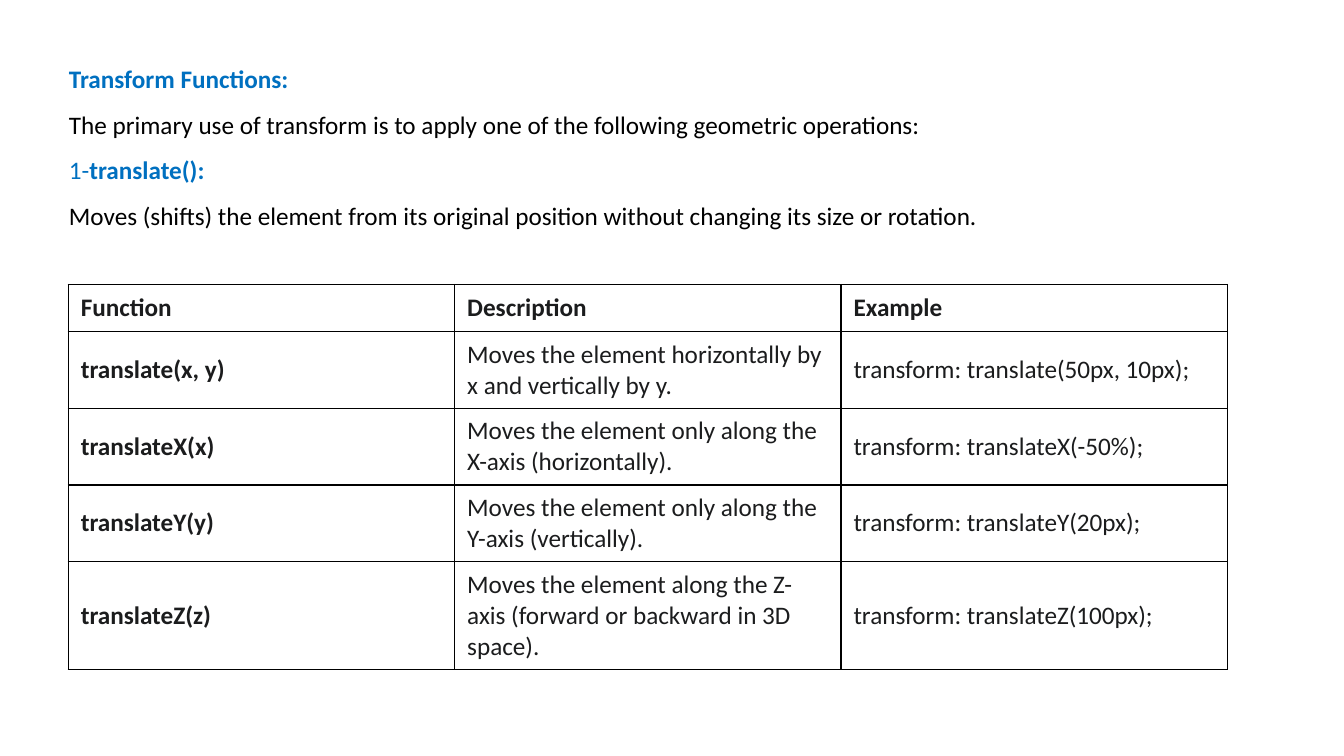
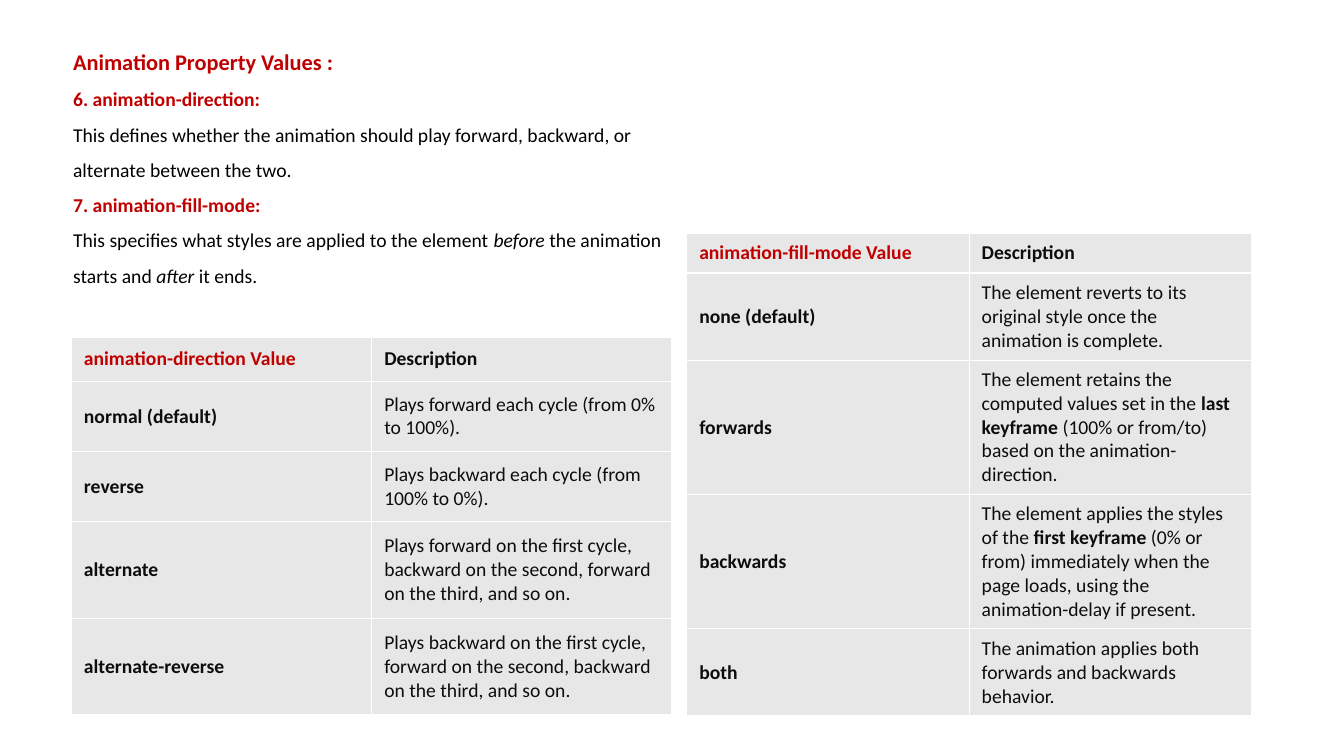
import dataclasses

import lxml.etree
import pptx
import pptx.dml.color
import pptx.enum.text
import pptx.oxml.ns
import pptx.util

PX = 9525
FONT = "Calibri"
HEX = {
    "blue": "0070C0",
    "red": "C00000",
    "black": "000000",
    "ink": "1B1C1D",
    "dark": "0D0D0D",
    "gray": "E7E7E7",
    "white": "FFFFFF",
}


@dataclasses.dataclass
class Line:
    """One paragraph; parts between asterisks take the style named by mark."""
    text: str
    color: str = "black"
    bold: bool = False
    mark: str = "bold"


@dataclasses.dataclass
class Box:
    left: int
    top: int
    width: int
    height: int


@dataclasses.dataclass
class Grid:
    left: int
    top: int
    col: int
    rows: list[int]
    cells: list[tuple[str, ...]]
    size: int
    ink: str
    key: str
    edge: str
    fill: str | None = None


@dataclasses.dataclass
class Page:
    title: str
    color: str
    size: int
    head: Box
    body: Box
    lines: list[Line]
    point: int
    grids: list[Grid]


PAGES = [
    Page(
        "Transform Functions:", "blue", 18,
        Box(56, 41, 1114, 44), Box(56, 85, 1114, 150),
        [
            Line("The primary use of transform is to apply one of the "
                 "following geometric operations:"),
            Line("1-*translate():*", "blue"),
            Line("Moves (shifts) the element from its original position "
                 "without changing its size or rotation."),
        ],
        18,
        [Grid(
            65, 271, 368, [45, 73, 73, 73, 103],
            [
                ("Function", "Description", "Example"),
                ("translate(x, y)",
                 "Moves the element horizontally by x and vertically by y.",
                 "transform: translate(50px, 10px);"),
                ("translateX(x)",
                 "Moves the element only along the X-axis (horizontally).",
                 "transform: translateX(-50%);"),
                ("translateY(y)",
                 "Moves the element only along the Y-axis (vertically).",
                 "transform: translateY(20px);"),
                ("translateZ(z)",
                 "Moves the element along the Z-axis (forward or backward "
                 "in 3D space).",
                 "transform: translateZ(100px);"),
            ],
            18, "ink", "ink", "black",
        )],
    ),
    Page(
        "Animation Property Values :", "red", 16,
        Box(60, 28, 615, 39), Box(60, 67, 615, 220),
        [
            Line("6. animation-direction:", "red", True),
            Line("This defines whether the animation should play forward, "
                 "backward, or alternate between the two."),
            Line("7. animation-fill-mode:", "red", True),
            Line("This specifies what styles are applied to the element "
                 "*before* the animation starts and *after* it ends.",
                 mark="italic"),
        ],
        14,
        [
            Grid(
                68, 321, 286, [42, 67, 67, 92, 92],
                [
                    ("animation-direction Value", "Description"),
                    ("normal (default)",
                     "Plays forward each cycle (from 0% to 100%)."),
                    ("reverse",
                     "Plays backward each cycle (from 100% to 0%)."),
                    ("alternate",
                     "Plays forward on the first cycle, backward on the "
                     "second, forward on the third, and so on."),
                    ("alternate-reverse",
                     "Plays backward on the first cycle, forward on the "
                     "second, backward on the third, and so on."),
                ],
                14, "dark", "red", "white", "gray",
            ),
            Grid(
                654, 222, 269, [38, 83, 128, 128, 83],
                [
                    ("animation-fill-mode Value", "Description"),
                    ("none (default)",
                     "The element reverts to its original style once the "
                     "animation is complete."),
                    ("forwards",
                     "The element retains the computed values set in the "
                     "*last keyframe* (100% or from/to) based on the "
                     "animation-direction."),
                    ("backwards",
                     "The element applies the styles of the *first keyframe* "
                     "(0% or from) immediately when the page loads, using "
                     "the animation-delay if present."),
                    ("both",
                     "The animation applies both forwards and backwards "
                     "behavior."),
                ],
                14, "dark", "red", "white", "gray",
            ),
        ],
    ),
]


def px(num: int) -> pptx.util.Emu:
    return pptx.util.Emu(num * PX)


def rgb(name: str) -> pptx.dml.color.RGBColor:
    return pptx.dml.color.RGBColor.from_string(HEX[name])


def write(para, line: Line, size: int) -> None:
    para.alignment = pptx.enum.text.PP_ALIGN.LEFT
    font = para.font
    font.name, font.size, font.bold = FONT, pptx.util.Pt(size), line.bold
    font.color.rgb = rgb(line.color)
    for num, part in enumerate(line.text.split("*")):
        if part:
            run = para.add_run()
            run.text = part
            if num % 2:
                setattr(run.font, line.mark, True)


def fill_box(shape, box: Box, lines: list[Line], size: int) -> None:
    """Place a placeholder and fill it with unbulleted, 1.5-spaced lines."""
    shape.left, shape.top = px(box.left), px(box.top)
    shape.width, shape.height = px(box.width), px(box.height)
    frame = shape.text_frame
    frame.word_wrap = True
    frame.auto_size = pptx.enum.text.MSO_AUTO_SIZE.NONE
    frame.vertical_anchor = pptx.enum.text.MSO_ANCHOR.TOP
    for num, line in enumerate(lines):
        para = frame.add_paragraph() if num else frame.paragraphs[0]
        para.line_spacing = 1.5
        para.space_before = para.space_after = pptx.util.Pt(0)
        write(para, line, size)
        props = para._p.get_or_add_pPr()
        props.set("marL", "0")
        props.set("indent", "0")
        none = lxml.etree.Element(pptx.oxml.ns.qn("a:buNone"))
        props.find(pptx.oxml.ns.qn("a:defRPr")).addprevious(none)


def edge_cell(cell, color: str) -> None:
    """Give all four sides of a cell a one-point line."""
    qn = pptx.oxml.ns.qn
    props = cell._tc.get_or_add_tcPr()
    for side in "LRTB":
        line = lxml.etree.SubElement(props, qn(f"a:ln{side}"), w="12700")
        solid = lxml.etree.SubElement(line, qn("a:solidFill"))
        lxml.etree.SubElement(solid, qn("a:srgbClr"), val=HEX[color])


def draw_grid(slide, grid: Grid) -> None:
    cols = len(grid.cells[0])
    table = slide.shapes.add_table(
        len(grid.rows), cols, px(grid.left), px(grid.top),
        px(grid.col * cols), px(sum(grid.rows))).table
    table.first_row = table.horz_banding = False
    for row, high in zip(table.rows, grid.rows):
        row.height = px(high)
    for y, texts in enumerate(grid.cells):
        for x, text in enumerate(texts):
            cell = table.cell(y, x)
            edge_cell(cell, grid.edge)
            if grid.fill:
                cell.fill.solid()
                cell.fill.fore_color.rgb = rgb(grid.fill)
            else:
                cell.fill.background()
            cell.margin_left = cell.margin_right = px(12)
            cell.margin_top = cell.margin_bottom = px(7)
            cell.vertical_anchor = pptx.enum.text.MSO_ANCHOR.MIDDLE
            color = grid.key if x == y == 0 else grid.ink
            line = Line(text, color, x == 0 or y == 0)
            write(cell.text_frame.paragraphs[0], line, grid.size)


def draw_page(deck, page: Page) -> None:
    slide = deck.slides.add_slide(deck.slide_layouts[1])
    title = Line(page.title, page.color, True)
    fill_box(slide.shapes.title, page.head, [title], page.size)
    fill_box(slide.placeholders[1], page.body, page.lines, page.point)
    for grid in page.grids:
        draw_grid(slide, grid)


def main() -> None:
    deck = pptx.Presentation()
    deck.slide_width, deck.slide_height = px(1280), px(720)
    for page in PAGES:
        draw_page(deck, page)
    deck.save("out.pptx")


if __name__ == "__main__":
    main()
